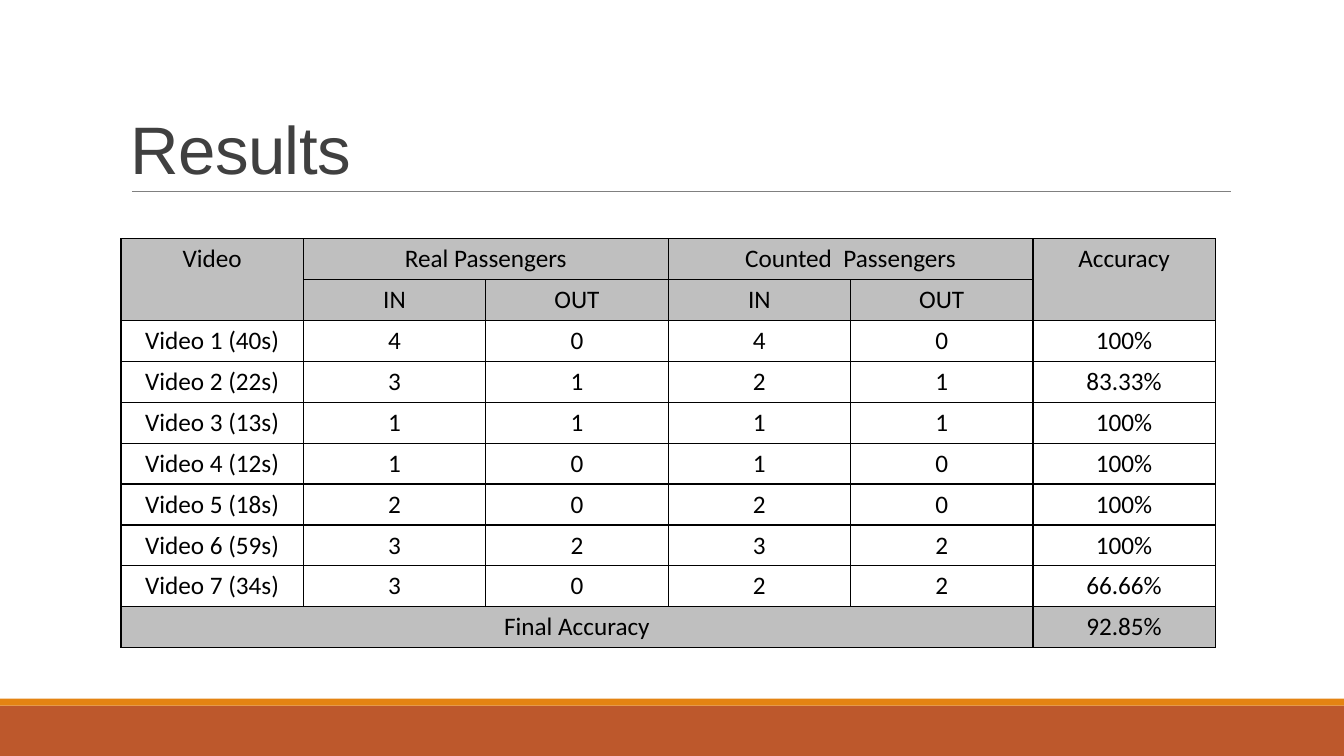
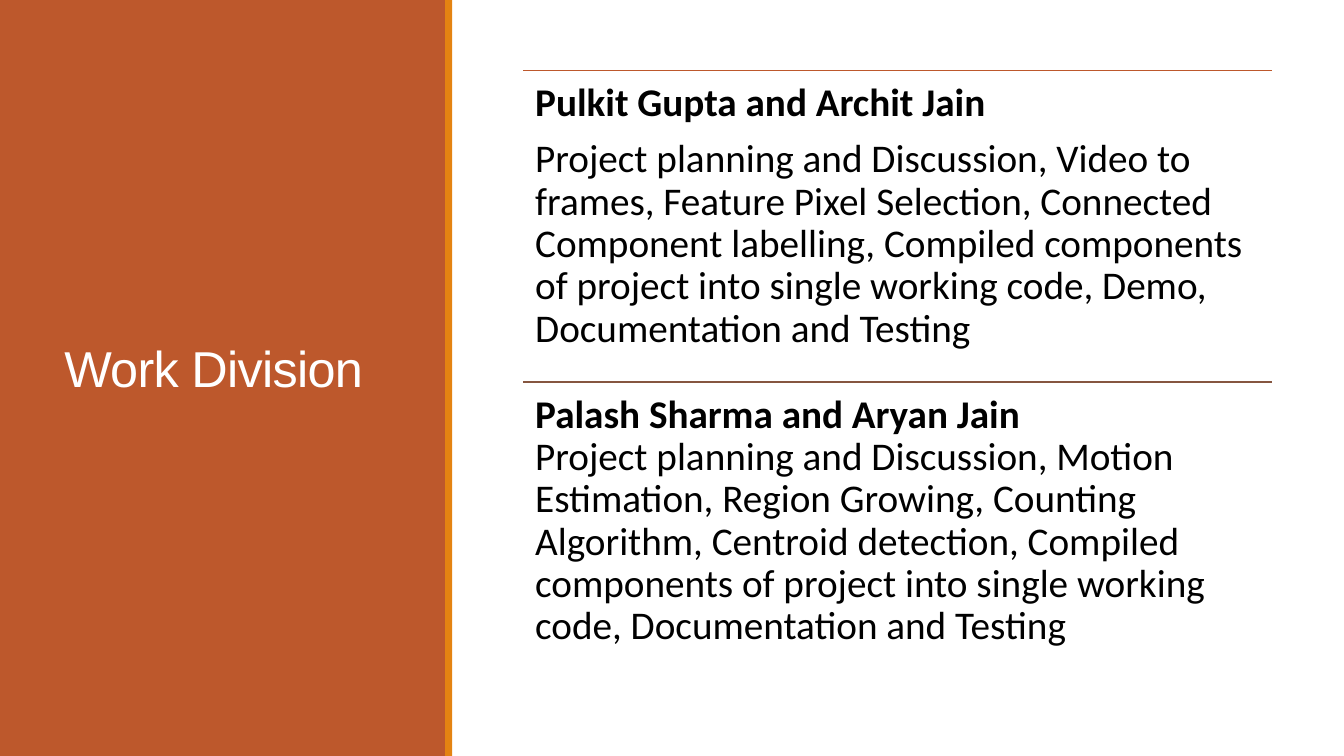
from lxml import etree
from pptx import Presentation
from pptx.dml.color import RGBColor
from pptx.enum import shapes, text
from pptx.oxml import ns
from pptx.util import Pt

WIDTH, HEIGHT = 960, 540
COLORS = {
    "rust": "BD582C",
    "orange": "E48312",
    "brown": "865640",
    "rule": "808080",
    "title": "404040",
    "header": "BFBFBF",
    "white": "FFFFFF",
    "black": "000000",
}


def color(name):
    return RGBColor.from_string(COLORS[name])


class Deck:
    title_font = "Arial"
    body_font = "Calibri"

    def __init__(self):
        self.presentation = Presentation()
        self.presentation.slide_width = Pt(WIDTH)
        self.presentation.slide_height = Pt(HEIGHT)
        self.slide = None

    def new_slide(self):
        self.slide = self.presentation.slides.add_slide(self.presentation.slide_layouts[6])

    def band(self, left, top, width, height, fill):
        shape = self.slide.shapes.add_shape(
            shapes.MSO_SHAPE.RECTANGLE, Pt(left), Pt(top), Pt(width), Pt(height))
        shape.shadow.inherit = False
        shape.fill.solid()
        shape.fill.fore_color.rgb = color(fill)
        shape.line.fill.background()

    def rule(self, left, top, width, line, weight):
        connector = self.slide.shapes.add_connector(
            shapes.MSO_CONNECTOR.STRAIGHT, Pt(left), Pt(top), Pt(left + width), Pt(top))
        connector.line.color.rgb = color(line)
        connector.line.width = Pt(weight)
        etree.SubElement(connector._element.spPr, ns.qn("a:effectLst"))

    def style(self, paragraph, font, size, fill, bold=False):
        for run in paragraph.runs:
            run.font.name = font
            run.font.size = Pt(size)
            run.font.bold = bold
            run.font.color.rgb = color(fill)

    def text_box(self, left, top, width, height, words):
        box = self.slide.shapes.add_textbox(Pt(left), Pt(top), Pt(width), Pt(height))
        frame = box.text_frame
        frame.word_wrap = True
        frame.text = words
        return frame

    def title(self, left, top, width, height, words, size, fill, anchor):
        frame = self.text_box(left, top, width, height, words)
        frame.vertical_anchor = anchor
        paragraph = frame.paragraphs[0]
        paragraph.line_spacing = 0.85
        self.style(paragraph, self.title_font, size, fill)
        for run in paragraph.runs:
            run._r.get_or_add_rPr().set("spc", "-50")

    def work_block(self, left, top, width, height, names, tasks, gap):
        """Bold names over their tasks, with gap points between the two."""
        frame = self.text_box(left, top, width, height, f"{names}\n{tasks}")
        frame.margin_left = frame.margin_right = Pt(8.64)
        frame.margin_top = frame.margin_bottom = Pt(8.64)
        for index, paragraph in enumerate(frame.paragraphs):
            paragraph.line_spacing = 0.9
            self.style(paragraph, self.body_font, 28, "black", bold=index == 0)
        frame.paragraphs[0].space_after = Pt(gap)

    def border(self, cell):
        properties = cell._tc.get_or_add_tcPr()
        for side in ("lnL", "lnR", "lnT", "lnB"):
            line = etree.SubElement(properties, ns.qn(f"a:{side}"), w=str(Pt(1)))
            fill = etree.SubElement(line, ns.qn("a:solidFill"))
            etree.SubElement(fill, ns.qn("a:srgbClr"), val=COLORS["black"])

    def table(self, left, top, column_width, row_height, rows, merges, shaded):
        """Merges are (row, column, last row, last column); shaded are row numbers."""
        row_count, column_count = len(rows), len(rows[0])
        table = self.slide.shapes.add_table(
            row_count, column_count, Pt(left), Pt(top),
            Pt(column_width * column_count), Pt(row_height * row_count)).table
        table.first_row = table.horz_banding = False
        for column in table.columns:
            column.width = Pt(column_width)
        for row in table.rows:
            row.height = Pt(row_height)
        for row_index, values in enumerate(rows):
            for column_index, value in enumerate(values):
                cell = table.cell(row_index, column_index)
                self.border(cell)
                cell.fill.solid()
                cell.fill.fore_color.rgb = color("header" if row_index in shaded else "white")
                cell.text_frame.text = value
                paragraph = cell.text_frame.paragraphs[0]
                paragraph.alignment = text.PP_ALIGN.CENTER
                paragraph.font.size = Pt(18)
                self.style(paragraph, self.body_font, 18, "black")
        for first_row, first_column, last_row, last_column in merges:
            table.cell(first_row, first_column).merge(table.cell(last_row, last_column))


def results_slide(deck):
    deck.new_slide()
    deck.band(0, 504, WIDTH, 36, "rust")
    deck.band(0, 499, WIDTH, 5, "orange")
    deck.rule(94.3, 136.8, 784.8, "rule", 0.5)
    deck.title(86.4, 23.8, 792, 114.5, "Results", 48, "title", text.MSO_ANCHOR.BOTTOM)

    videos = [
        ("40s", "4", "0", "4", "0", "100%"),
        ("22s", "3", "1", "2", "1", "83.33%"),
        ("13s", "1", "1", "1", "1", "100%"),
        ("12s", "1", "0", "1", "0", "100%"),
        ("18s", "2", "0", "2", "0", "100%"),
        ("59s", "3", "2", "3", "2", "100%"),
        ("34s", "3", "0", "2", "2", "66.66%"),
    ]
    rows = [
        ("Video", "Real Passengers", "", "Counted  Passengers", "", "Accuracy"),
        ("", "IN", "OUT", "IN", "OUT", ""),
        *((f"Video {number} ({length})", *values)
          for number, (length, *values) in enumerate(videos, 1)),
        ("Final Accuracy", "", "", "", "", "92.85%"),
    ]
    last = len(rows) - 1
    merges = [(0, 0, 1, 0), (0, 1, 0, 2), (0, 3, 0, 4), (0, 5, 1, 5), (last, 0, last, 4)]
    deck.table(86.4, 170.6, 130.3, 29.2, rows, merges, shaded=(0, 1, last))


def work_division_slide(deck):
    deck.new_slide()
    deck.band(0, 0, 319, HEIGHT, "rust")
    deck.band(318, 0, 5, HEIGHT, "orange")
    deck.title(38.9, 38.9, 242.6, 454.3, "Work Division", 36, "white", text.MSO_ANCHOR.MIDDLE)

    blocks = [
        ("rust", 10, "Pulkit Gupta and Archit Jain",
         "Project planning and Discussion, Video to frames, Feature Pixel Selection, "
         "Connected Component labelling, Compiled components of project into single "
         "working code, Demo, Documentation and Testing"),
        ("brown", 0, "Palash Sharma and Aryan Jain",
         "Project planning and Discussion, Motion Estimation, Region Growing, Counting "
         "Algorithm, Centroid detection, Compiled components of project into single "
         "working code, Documentation and Testing"),
    ]
    left, width, height = 373.7, 535, 222.5
    for index, (line, gap, names, tasks) in enumerate(blocks):
        top = 50.4 + index * height
        deck.rule(left, top, width, line, 1.25)
        deck.work_block(left, top, width, height, names, tasks, gap)


def main():
    deck = Deck()
    results_slide(deck)
    work_division_slide(deck)
    deck.presentation.save("out.pptx")


if __name__ == "__main__":
    main()
